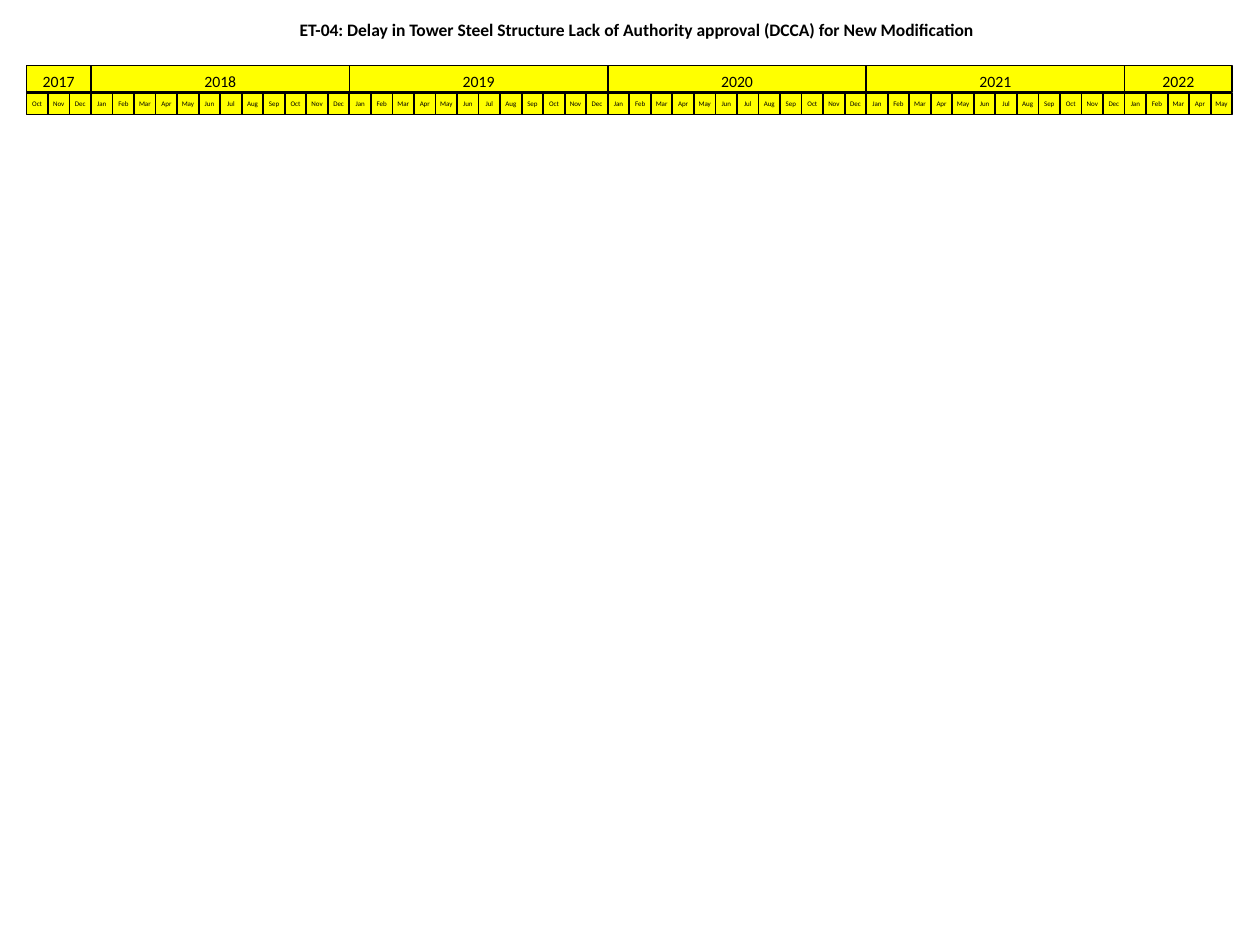
from pptx import Presentation
from pptx.dml.color import RGBColor
from pptx.enum import shapes, text
from pptx.util import Inches, Pt

MONTHS = "Jan Feb Mar Apr May Jun Jul Aug Sep Oct Nov Dec".split()
FIRST, LAST = (2017, 9), (2022, 4)  # year and month index, both included


def color(code):
    return RGBColor.from_string(code)


def label(slide, box, words, size, bold=False, fill=None, line="000000",
          width=1, side=0.1):
    """Add a rectangle with one centred line of text; box is in inches."""
    rect = slide.shapes.add_shape(shapes.MSO_SHAPE.RECTANGLE,
                                  *(Inches(n) for n in box))
    rect.shadow.inherit = False
    if fill:
        rect.fill.solid()
        rect.fill.fore_color.rgb = color(fill)
    else:
        rect.fill.background()
    rect.line.color.rgb = color(line)
    rect.line.width = Pt(width)

    frame = rect.text_frame
    form = {
        "margin_left": Inches(side), "margin_right": Inches(side),
        "margin_top": Inches(0.05), "margin_bottom": Inches(0.05),
        "vertical_anchor": text.MSO_ANCHOR.TOP,
        "word_wrap": True,
        "auto_size": text.MSO_AUTO_SIZE.SHAPE_TO_FIT_TEXT,
    }
    for key, value in form.items():
        setattr(frame, key, value)
    para = frame.paragraphs[0]
    para.alignment = text.PP_ALIGN.CENTER
    run = para.add_run()
    run.text = words
    for key, value in {"name": "Calibri", "size": Pt(size), "bold": bold}.items():
        setattr(run.font, key, value)
    run.font.color.rgb = color("000000")


def calendar(slide, left, top, width):
    """Draw a row of years above a row of months."""
    dates = [(year, month) for year in range(FIRST[0], LAST[0] + 1)
             for month in range(12) if FIRST <= (year, month) <= LAST]
    step = width / len(dates)
    years = [year for year, _ in dates]
    for year in sorted(set(years)):
        start, count = years.index(year), years.count(year)
        label(slide, (left + start * step, top, count * step, 0.21),
              str(year), 9, fill="FFFF00")
    for i, (_, month) in enumerate(dates):
        label(slide, (left + i * step, top + 0.22, step, 0.17),
              MONTHS[month], 4, fill="FFFF00", side=0)


def main():
    deck = Presentation()
    deck.slide_width, deck.slide_height = Inches(10), Inches(7.5)
    slide = deck.slides.add_slide(deck.slide_layouts[6])
    label(slide, (0.1, 0.1, 9.9, 0.31),
          "ET-04: Delay in Tower Steel Structure Lack of Authority approval "
          "(DCCA) for New Modification", 10, bold=True, line="FFFFFF", width=0)
    calendar(slide, 0.21, 0.52, 9.57)
    deck.save("out.pptx")


if __name__ == "__main__":
    main()
